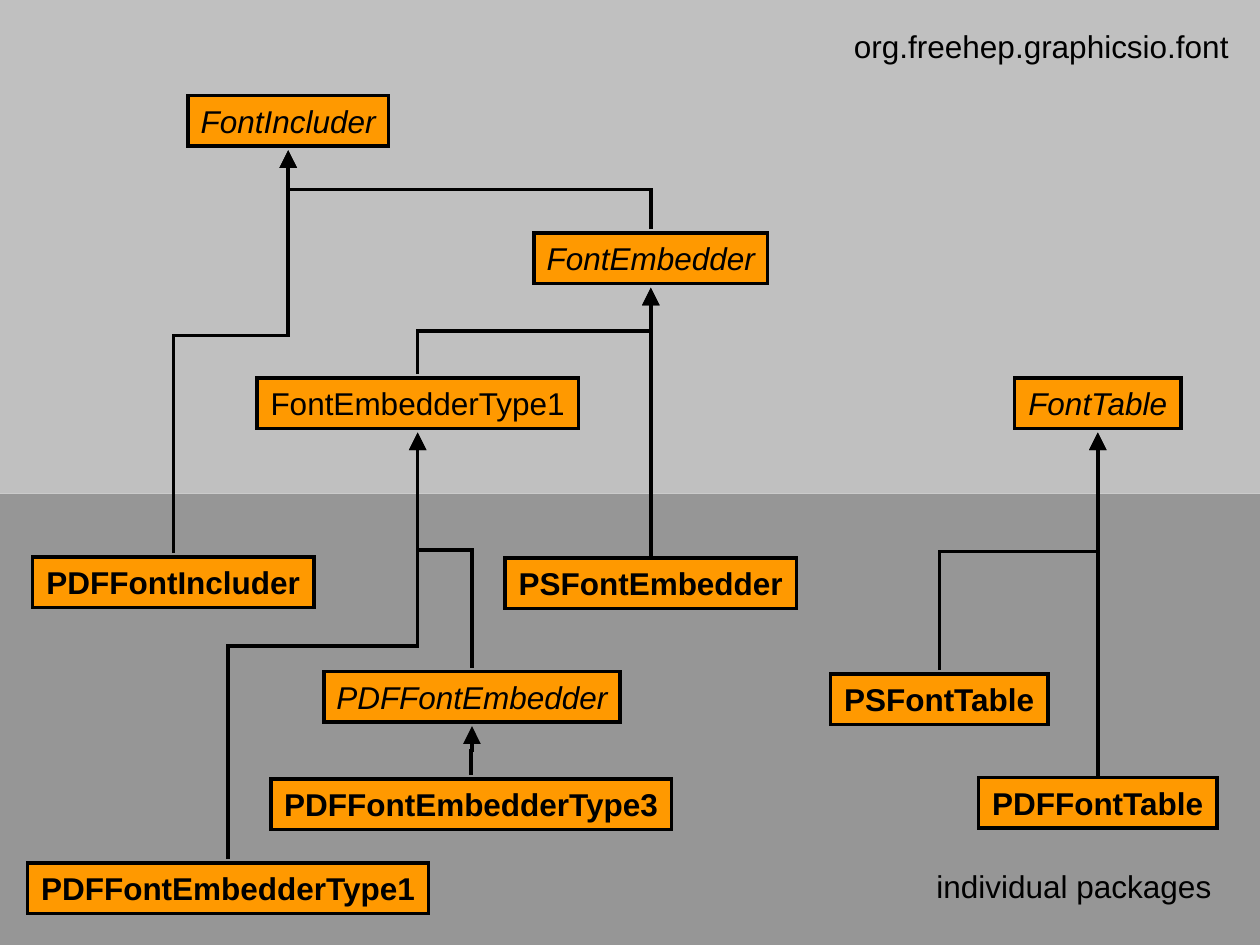
from lxml import etree
from pptx import Presentation, util as u
from pptx.dml import color
from pptx.enum import shapes, text
from pptx.oxml import ns

BOX_HEIGHT = 1.02
GAP = 0.08  # between a line's end and its box


def rgb(code):
    return color.RGBColor.from_string(code)


def write(shape, words, align="CENTER", anchor="MIDDLE", bold=False, italic=False):
    """Put one line of unwrapped text into a shape that grows to fit it."""
    frame = shape.text_frame
    frame.word_wrap = False
    frame.auto_size = text.MSO_AUTO_SIZE.SHAPE_TO_FIT_TEXT
    frame.vertical_anchor = text.MSO_ANCHOR[anchor]
    para = frame.paragraphs[0]
    para.alignment = text.PP_ALIGN[align]
    span = para.add_run()
    span.text = words
    span.font.name = "Arial"
    span.font.size = u.Pt(18)
    span.font.bold, span.font.italic = bold, italic
    span.font.color.rgb = rgb("000000")


class Diagram:
    def __init__(self, page, ink="000000", fill="FF9900", stroke=2):
        self.page, self.ink, self.fill, self.stroke = page, ink, fill, stroke

    def band(self, top, height, fill):
        return self.rectangle(0, top, 25.4, height, fill)

    def rectangle(self, left, top, width, height, fill):
        shape = self.page.shapes.add_shape(
            shapes.MSO_SHAPE.RECTANGLE, *map(u.Cm, (left, top, width, height)))
        shape.shadow.inherit = False
        shape.fill.solid()
        shape.fill.fore_color.rgb = rgb(fill)
        shape.line.fill.background()
        return shape

    def outline(self, shape):
        """Give a shape or connector the solid, sharp-cornered line; return its XML."""
        shape.line.color.rgb = rgb(self.ink)
        shape.line.width = u.Pt(self.stroke)
        stroke = shape.line._get_or_add_ln()
        etree.SubElement(stroke, ns.qn("a:miter"), lim="800000")
        return stroke

    def class_box(self, name, left, top, width, **style):
        box = self.rectangle(left, top, width, BOX_HEIGHT, self.fill)
        self.outline(box)
        write(box, name, **style)
        return box

    def label(self, words, left, top, width):
        box = self.page.shapes.add_textbox(*map(u.Cm, (left, top, width, BOX_HEIGHT)))
        write(box, words, align="RIGHT", anchor="TOP")

    def arrow(self, kind, *ends):
        line = self.page.shapes.add_connector(kind, *ends)
        etree.SubElement(self.outline(line), ns.qn("a:tailEnd"),
                         type="triangle", w="lg", len="lg")
        etree.SubElement(line._element.spPr, ns.qn("a:effectLst"))
        return line

    def straight(self, child, parent):
        x = child.left + child.width // 2
        tip = parent.top + parent.height + u.Cm(GAP)
        line = self.arrow(shapes.MSO_CONNECTOR.STRAIGHT, x, child.top, x, tip)
        line.begin_connect(child, 0)

    def elbow(self, child, parent, bend=0.5):
        """Go up, across and up again: a sideways elbow turned by 270 degrees."""
        x1, x2 = (box.left + box.width // 2 for box in (child, parent))
        y1 = child.top - u.Cm(GAP)
        y2 = parent.top + parent.height + u.Cm(GAP)
        middle_x, middle_y = (x1 + x2) // 2, (y1 + y2) // 2
        half_rise, half_run = (y1 - y2) // 2, (x2 - x1) // 2
        line = self.arrow(shapes.MSO_CONNECTOR.ELBOW,
                          middle_x - half_rise, middle_y - half_run,
                          middle_x + half_rise, middle_y + half_run)
        properties = line._element.spPr
        properties.find(ns.qn("a:xfrm")).set("rot", str(270 * 60000))
        guides = properties.find(ns.qn("a:prstGeom")).find(ns.qn("a:avLst"))
        etree.SubElement(guides, ns.qn("a:gd"), name="adj1",
                         fmla=f"val {round(bend * 100000)}")


CLASSES = [  # name, left, top, width, style
    ("PSFontTable", 16.74, 13.59, 4.39, "bold"),
    ("PDFFontTable", 19.73, 15.67, 4.8, "bold"),
    ("FontTable", 20.45, 7.62, 3.36, "italic"),
    ("PSFontEmbedder", 10.18, 11.25, 5.88, "bold"),
    ("PDFFontEmbedderType1", 0.56, 17.4, 8.08, "bold"),
    ("PDFFontEmbedderType3", 5.46, 15.7, 8.08, "bold"),
    ("PDFFontEmbedder", 6.53, 13.54, 5.97, "italic"),
    ("FontEmbedderType1", 5.18, 7.62, 6.48, None),
    ("FontEmbedder", 10.77, 4.7, 4.7, "italic"),
    ("PDFFontIncluder", 0.66, 11.23, 5.67, "bold"),
    ("FontIncluder", 3.79, 1.93, 4.04, "italic"),
]
ELBOWS = [  # child, parent, where the line bends
    ("FontEmbedder", "FontIncluder", 0.5),
    ("FontEmbedderType1", "FontEmbedder", 0.5),
    ("PDFFontEmbedderType1", "FontEmbedderType1", 0.5),
    ("PSFontTable", "FontTable", 0.5),
    ("PDFFontEmbedder", "FontEmbedderType1", 0.5),
    ("PDFFontEmbedderType3", "PDFFontEmbedder", 0.5),
    ("PDFFontIncluder", "FontIncluder", 0.54),
]
STRAIGHTS = [("PDFFontTable", "FontTable"), ("PSFontEmbedder", "FontEmbedder")]


def main():
    deck = Presentation()
    deck.slide_width, deck.slide_height = u.Cm(25.4), u.Cm(19.05)
    diagram = Diagram(deck.slides.add_slide(deck.slide_layouts[6]))

    diagram.band(0, 9.95, "C0C0C0")
    diagram.band(9.95, 9.1, "969696")
    boxes = {}
    for name, left, top, width, style in CLASSES:
        boxes[name] = diagram.class_box(name, left, top, width,
                                        **({style: True} if style else {}))
    for child, parent, bend in ELBOWS:
        diagram.elbow(boxes[child], boxes[parent], bend)
    for child, parent in STRAIGHTS:
        diagram.straight(boxes[child], boxes[parent])
    diagram.label("individual packages", 18.62, 17.35, 6.05)
    diagram.label("org.freehep.graphicsio.font", 16.9, 0.43, 8.12)

    deck.save("out.pptx")


if __name__ == "__main__":
    main()
